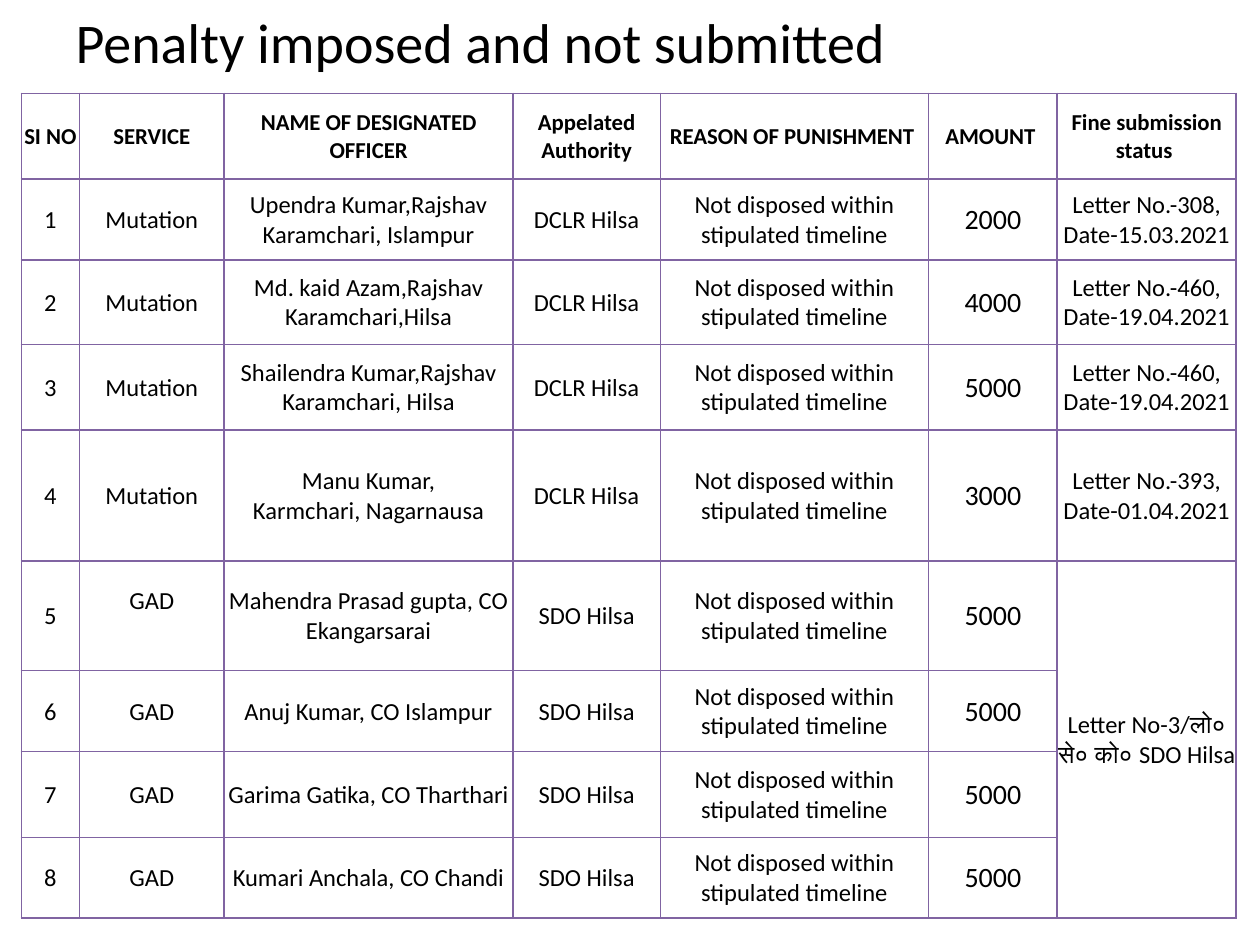
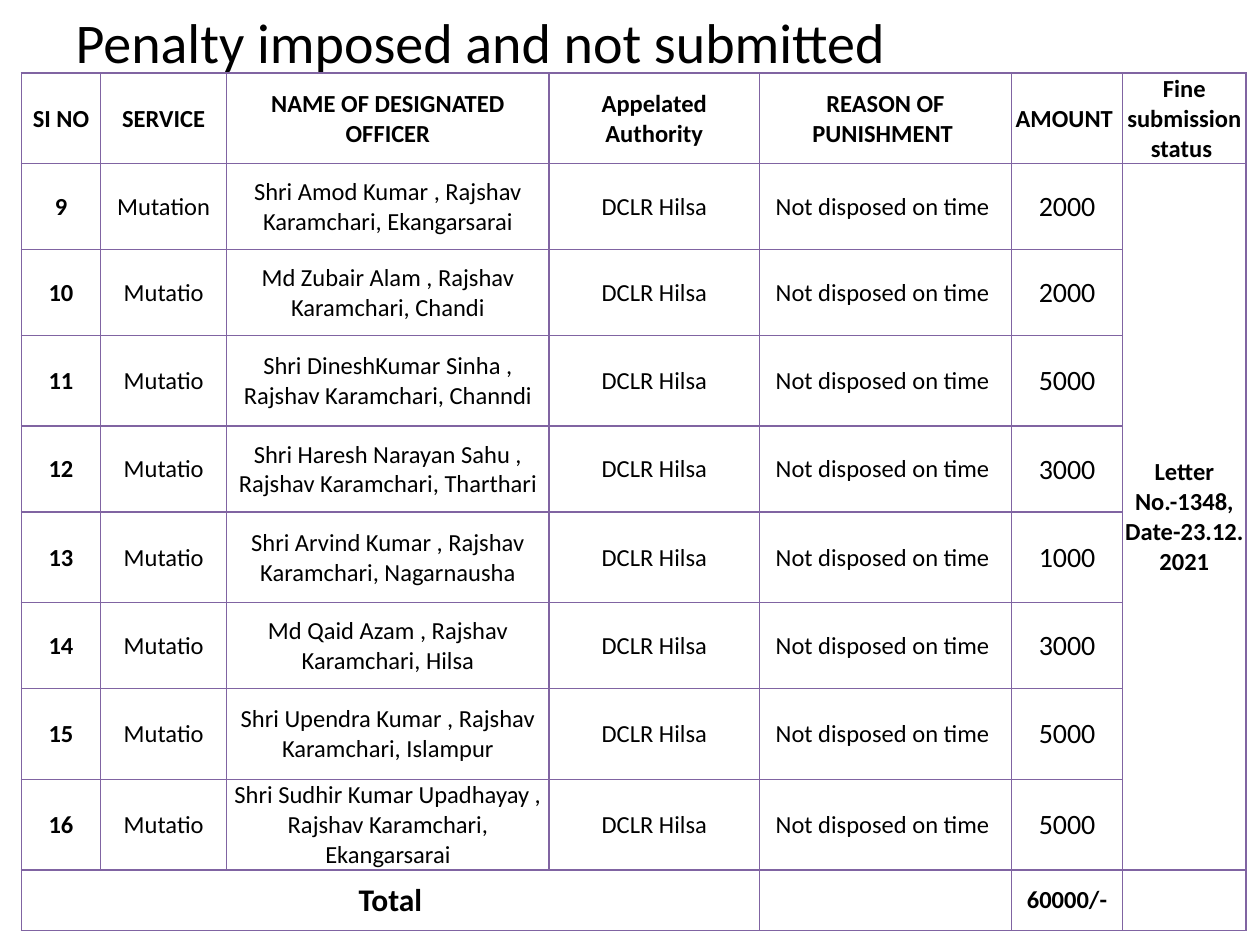
from lxml import etree
from pptx import Presentation
from pptx import util as u
from pptx.dml.color import RGBColor
from pptx.enum import text
from pptx.oxml import ns

BLACK = RGBColor(0x00, 0x00, 0x00)
PURPLE = RGBColor(0x80, 0x64, 0xA2)
FONT = "Calibri"
TITLE = "Penalty imposed and not submitted"
LEFT = 0.43
AMOUNT = 5
STATUS = 6
HEADS = ["SI NO", "SERVICE", "NAME OF DESIGNATED OFFICER", "Appelated Authority",
         "REASON OF PUNISHMENT ", "AMOUNT ", "Fine submission status "]

LATE = "Not disposed within stipulated timeline"
FIRST_COLS = [1.17, 2.92, 5.82, 2.97, 5.41, 2.59, 3.61]
FIRST_ROWS = [1.73, 1.63, 1.7, 1.73, 2.64, 2.21, 1.63, 1.73, 1.63]
FIRST = [
    ("Mutation", "Upendra Kumar,Rajshav Karamchari, Islampur", "DCLR Hilsa", "2000",
     "Letter No.-308, Date-15.03.2021"),
    ("Mutation", "Md. kaid Azam,Rajshav Karamchari,Hilsa", "DCLR Hilsa", "4000",
     "Letter No.-460, Date-19.04.2021"),
    ("Mutation", "Shailendra Kumar,Rajshav Karamchari, Hilsa", "DCLR Hilsa", "5000",
     "Letter No.-460, Date-19.04.2021"),
    ("Mutation", "Manu Kumar,\nKarmchari, Nagarnausa", "DCLR Hilsa", "3000",
     "Letter No.-393, Date-01.04.2021"),
    ("GAD", "Mahendra Prasad gupta, CO Ekangarsarai", "SDO Hilsa", "5000",
     "Letter No-3/लो० से० को० SDO Hilsa"),
    ("GAD", "Anuj Kumar, CO Islampur", "SDO Hilsa", "5000", ""),
    ("GAD", "Garima Gatika, CO Tharthari", "SDO Hilsa", "5000", ""),
    ("GAD", "Kumari Anchala, CO Chandi", "SDO Hilsa", "5000", ""),
]

SECOND_COLS = [1.6, 2.54, 6.5, 4.24, 5.08, 2.24, 2.49]
SECOND_ROWS = [1.83, 1.73, 1.73, 1.83, 1.73, 1.83, 1.73, 1.83, 1.73, 1.22]
SECOND = [
    ("Shri Amod Kumar , Rajshav Karamchari, Ekangarsarai", "2000"),
    ("Md Zubair Alam , Rajshav Karamchari, Chandi", "2000"),
    ("Shri DineshKumar Sinha , Rajshav Karamchari, Channdi", "5000"),
    ("Shri Haresh Narayan Sahu , Rajshav Karamchari, Tharthari", "3000"),
    ("Shri Arvind Kumar , Rajshav Karamchari, Nagarnausha", "1000"),
    ("Md Qaid Azam , Rajshav Karamchari, Hilsa", "3000"),
    ("Shri Upendra Kumar , Rajshav Karamchari, Islampur", "5000"),
    ("Shri Sudhir Kumar Upadhayay , Rajshav Karamchari, Ekangarsarai", "5000"),
]


def style(frame, size, bold, align):
    for para in frame.paragraphs:
        para.alignment = align
        for run in para.runs:
            run.font.name = FONT
            run.font.size = u.Pt(size)
            run.font.bold = bold
            run.font.color.rgb = BLACK


def add_page(deck):
    slide = deck.slides.add_slide(deck.slide_layouts[5])
    title = slide.shapes.title
    title.left, title.top = u.Cm(1.27), u.Cm(0.2)
    title.width, title.height = u.Cm(22.86), u.Cm(1.27)
    frame = title.text_frame
    frame.text = TITLE
    frame.word_wrap = True
    frame.auto_size = text.MSO_AUTO_SIZE.NONE
    frame.vertical_anchor = text.MSO_ANCHOR.MIDDLE
    style(frame, 32, False, text.PP_ALIGN.LEFT)
    return slide


def add_edges(cell):
    props = cell._tc.get_or_add_tcPr()
    for side in ("a:lnL", "a:lnR", "a:lnT", "a:lnB"):
        line = etree.SubElement(props, ns.qn(side), w=str(u.Pt(1)))
        fill = etree.SubElement(line, ns.qn("a:solidFill"))
        etree.SubElement(fill, ns.qn("a:srgbClr"), val=str(PURPLE))


def set_cell(cell, words, size=14, bold=False):
    cell.text_frame.text = words
    style(cell.text_frame, size, bold, text.PP_ALIGN.CENTER)


def add_grid(slide, top, cols, rows, head):
    frame = slide.shapes.add_table(len(rows), len(cols), u.Cm(LEFT), u.Cm(top),
                                   u.Cm(sum(cols)), u.Cm(sum(rows)))
    grid = frame.table
    grid.first_row = grid.horz_banding = False
    for col, width in zip(grid.columns, cols):
        col.width = u.Cm(width)
    for row, height in zip(grid.rows, rows):
        row.height = u.Cm(height)
    for cell in grid.iter_cells():
        add_edges(cell)
        cell.fill.background()
        cell.vertical_anchor = text.MSO_ANCHOR.MIDDLE
        cell.margin_left = cell.margin_right = cell.margin_top = u.Cm(0.02)
        cell.margin_bottom = 0
    for col, words in enumerate(HEADS):
        set_cell(grid.cell(0, col), words, head, True)
    return grid


def fill_rows(grid, records, strong=()):
    for row, record in enumerate(records, 1):
        for col, words in enumerate(record):
            if words:
                size = 16 if col == AMOUNT else 14
                set_cell(grid.cell(row, col), words, size, col in strong)


def add_first(deck):
    grid = add_grid(add_page(deck), 1.88, FIRST_COLS, FIRST_ROWS, 13)
    fill_rows(grid, [(str(num), work, name, court, LATE, fine, note)
                     for num, (work, name, court, fine, note) in enumerate(FIRST, 1)])
    grid.cell(5, 1).margin_bottom = u.Cm(0.6)
    grid.cell(5, STATUS).merge(grid.cell(8, STATUS))


def add_second(deck):
    grid = add_grid(add_page(deck), 1.47, SECOND_COLS, SECOND_ROWS, 14)
    fill_rows(grid, [(str(num), "Mutation" if num == 9 else "Mutatio", name,
                      "DCLR Hilsa", "Not disposed on time ", fine,
                      "Letter No.-1348, Date-23.12.2021" if num == 9 else "")
                     for num, (name, fine) in enumerate(SECOND, 9)], (0, STATUS))
    grid.cell(1, STATUS).merge(grid.cell(8, STATUS))
    grid.cell(9, 0).merge(grid.cell(9, 3))
    set_cell(grid.cell(9, 0), "Total", 18, True)
    set_cell(grid.cell(9, AMOUNT), "60000/-", 14, True)


def main():
    deck = Presentation()
    deck.slide_width, deck.slide_height = u.Cm(25.4), u.Cm(19.05)
    add_first(deck)
    add_second(deck)
    deck.save("out.pptx")


if __name__ == "__main__":
    main()
